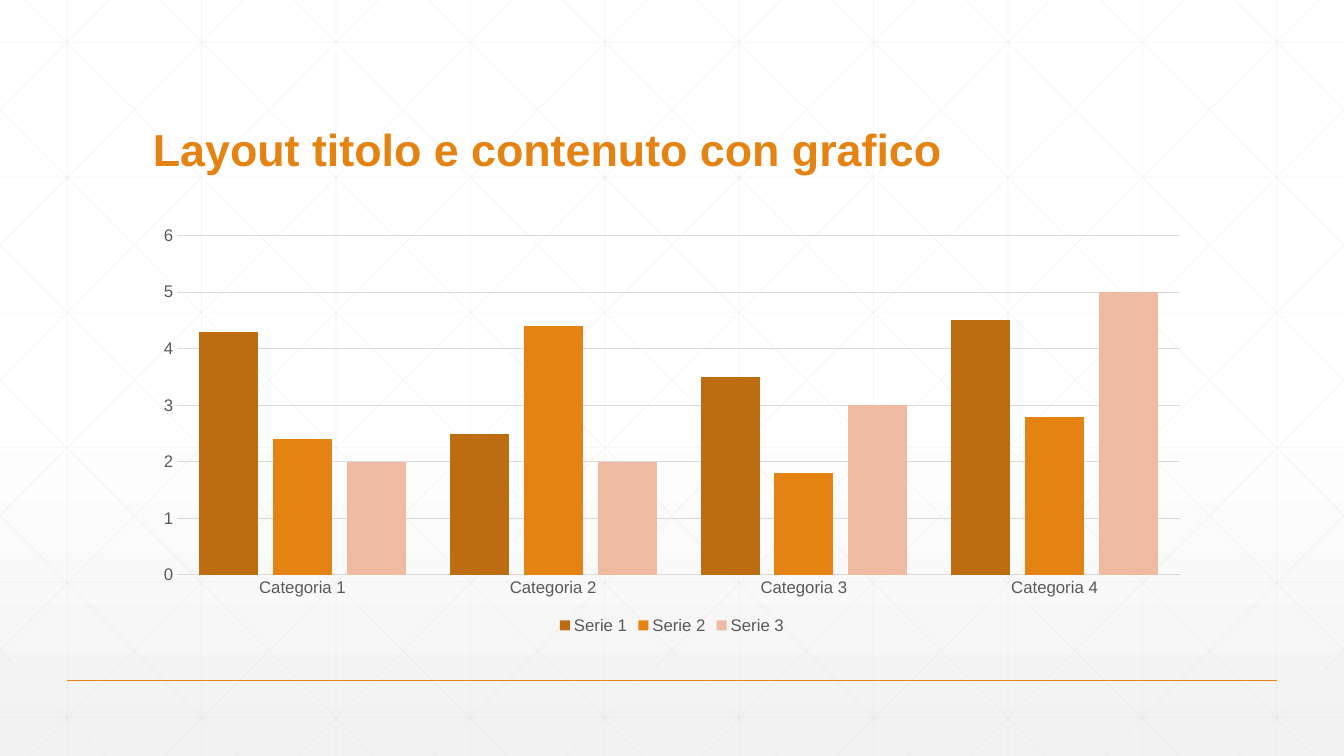
from copy import deepcopy

from lxml.etree import SubElement
from pptx import Presentation
from pptx.chart.data import CategoryChartData
from pptx.dml.color import RGBColor
from pptx.enum.chart import XL_CHART_TYPE as ChartType
from pptx.enum.chart import XL_LEGEND_POSITION as LegendPosition
from pptx.enum.chart import XL_TICK_MARK as TickMark
from pptx.enum.shapes import MSO_CONNECTOR as Connector
from pptx.enum.text import MSO_ANCHOR as Anchor
from pptx.enum.text import MSO_AUTO_SIZE as AutoSize
from pptx.enum.text import PP_ALIGN as Align
from pptx.oxml.ns import qn
from pptx.util import Inches, Pt

WHITE = RGBColor(0xFF, 0xFF, 0xFF)
PALE_GRAY = RGBColor(0xF2, 0xF2, 0xF2)
LINE_GRAY = RGBColor(0xD9, 0xD9, 0xD9)
TEXT_GRAY = RGBColor(0x59, 0x59, 0x59)
BROWN = RGBColor(0xBD, 0x6D, 0x0F)
ORANGE = RGBColor(0xE4, 0x83, 0x12)
PEACH = RGBColor(0xEE, 0xBB, 0xA2)

# The slide is a grid of 160 columns by 90 rows, 12 to the inch
COLUMNS, ROWS = 160, 90


def grid(*lengths):
    return [Inches(length / 12) for length in lengths]


def format_font(font, size, color, bold=False, name="Arial"):
    font.name, font.size, font.bold = name, Pt(size), bold
    font.color.rgb = color


def write_text(frame, text, align=Align.LEFT, spacing=0.9, **font_format):
    paragraph = frame.paragraphs[0]
    paragraph.alignment, paragraph.line_spacing = align, spacing
    run = paragraph.add_run()
    run.text = text
    format_font(run.font, **font_format)


class SlideBuilder:
    label_style = {"size": 12, "color": TEXT_GRAY}

    def __init__(self, presentation):
        self.slide = presentation.slides.add_slide(presentation.slide_layouts[5])

    def background(self, stops):
        fill = self.slide.background.fill
        fill.gradient()
        fill.gradient_angle = 270
        stop_list = self.slide.element.find(".//" + qn("a:gsLst"))
        while len(stop_list) < len(stops):
            stop_list.append(deepcopy(stop_list[-1]))
        for stop, (position, color) in zip(fill.gradient_stops, stops):
            stop.position, stop.color.rgb = position, color

    def line(self, start, end, color, width, opacity=100):
        connector = self.slide.shapes.add_connector(
            Connector.STRAIGHT, *grid(*start, *end))
        connector.line.width = Pt(width)
        connector.line.color.rgb = color
        properties = connector.element.spPr
        if opacity < 100:
            color_element = properties.find(".//" + qn("a:srgbClr"))
            SubElement(color_element, qn("a:alpha"), val=str(opacity * 1000))
        SubElement(properties, qn("a:effectLst"))

    def title(self, text, box, **font_format):
        title = self.slide.shapes.title
        title.left, title.top, title.width, title.height = grid(*box)
        frame = title.text_frame
        frame.word_wrap, frame.auto_size = True, AutoSize.NONE
        frame.vertical_anchor = Anchor.BOTTOM
        write_text(frame, text, **font_format)
        title.element.getparent().append(title.element)  # in front of the lines

    def column_chart(self, box, categories, series):
        data = CategoryChartData()
        data.categories = categories
        for name, values, _ in series:
            data.add_series(name, values)
        chart = self.slide.shapes.add_chart(
            ChartType.COLUMN_CLUSTERED, *grid(*box), data).chart
        format_font(chart.font, **self.label_style)
        chart.has_title = False

        plot = chart.plots[0]
        plot.gap_width, plot.overlap, plot.vary_by_categories = 75, -25, False
        for bars, (_, _, color) in zip(plot.series, series):
            bars.format.fill.solid()
            bars.format.fill.fore_color.rgb = color
            bars.invert_if_negative = False

        category_axis, value_axis = chart.category_axis, chart.value_axis
        for axis in (category_axis, value_axis):
            axis.major_tick_mark = axis.minor_tick_mark = TickMark.NONE
            format_font(axis.tick_labels.font, **self.label_style)
        value_axis.minimum_scale, value_axis.maximum_scale = 0, 6
        value_axis.major_unit = 1
        value_axis.format.line.fill.background()
        for line in (category_axis.format.line,
                     value_axis.major_gridlines.format.line):
            line.color.rgb, line.width = LINE_GRAY, Pt(0.75)

        chart.has_legend = True
        chart.legend.position = LegendPosition.BOTTOM
        chart.legend.include_in_layout = False
        format_font(chart.legend.font, **self.label_style)


presentation = Presentation()
presentation.slide_width, presentation.slide_height = grid(COLUMNS, ROWS)
builder = SlideBuilder(presentation)

# Background gradient
builder.background([(0, WHITE), (0.53, WHITE), (1, PALE_GRAY)])

# Background lattice: upright, level and mirrored diagonal lines
PITCH, ROW_PITCH, DIAGONAL_RUN = 16, 16.08, 89.46
lattice = {"color": LINE_GRAY, "width": 0.5, "opacity": 25}
for index in range(10):
    x = 8 + index * PITCH
    builder.line((x, 0), (x, ROWS), **lattice)
for index in range(6):
    y = 5 + index * ROW_PITCH
    builder.line((0, y), (COLUMNS, y), **lattice)
for index in range(-5, 10):
    top_x = 3 + index * PITCH
    left, right = max(top_x, 0), min(top_x + DIAGONAL_RUN, COLUMNS)
    upper, lower = [(x - top_x) * ROWS / DIAGONAL_RUN for x in (left, right)]
    builder.line((left, upper), (right, lower), **lattice)
    builder.line((COLUMNS - left, upper), (COLUMNS - right, lower), **lattice)

# Footer rule
builder.line((8, 81), (152, 81), ORANGE, 1)

# Title and chart
builder.title("Layout titolo e contenuto con grafico", (17, 6.6, 126, 15),
              size=32, color=ORANGE, bold=True)
builder.column_chart(
    (17, 26, 126, 50),
    [f"Categoria {number}" for number in range(1, 5)],
    [("Serie 1", (4.3, 2.5, 3.5, 4.5), BROWN),
     ("Serie 2", (2.4, 4.4, 1.8, 2.8), ORANGE),
     ("Serie 3", (2, 2, 3, 5), PEACH)])

presentation.save("out.pptx")
